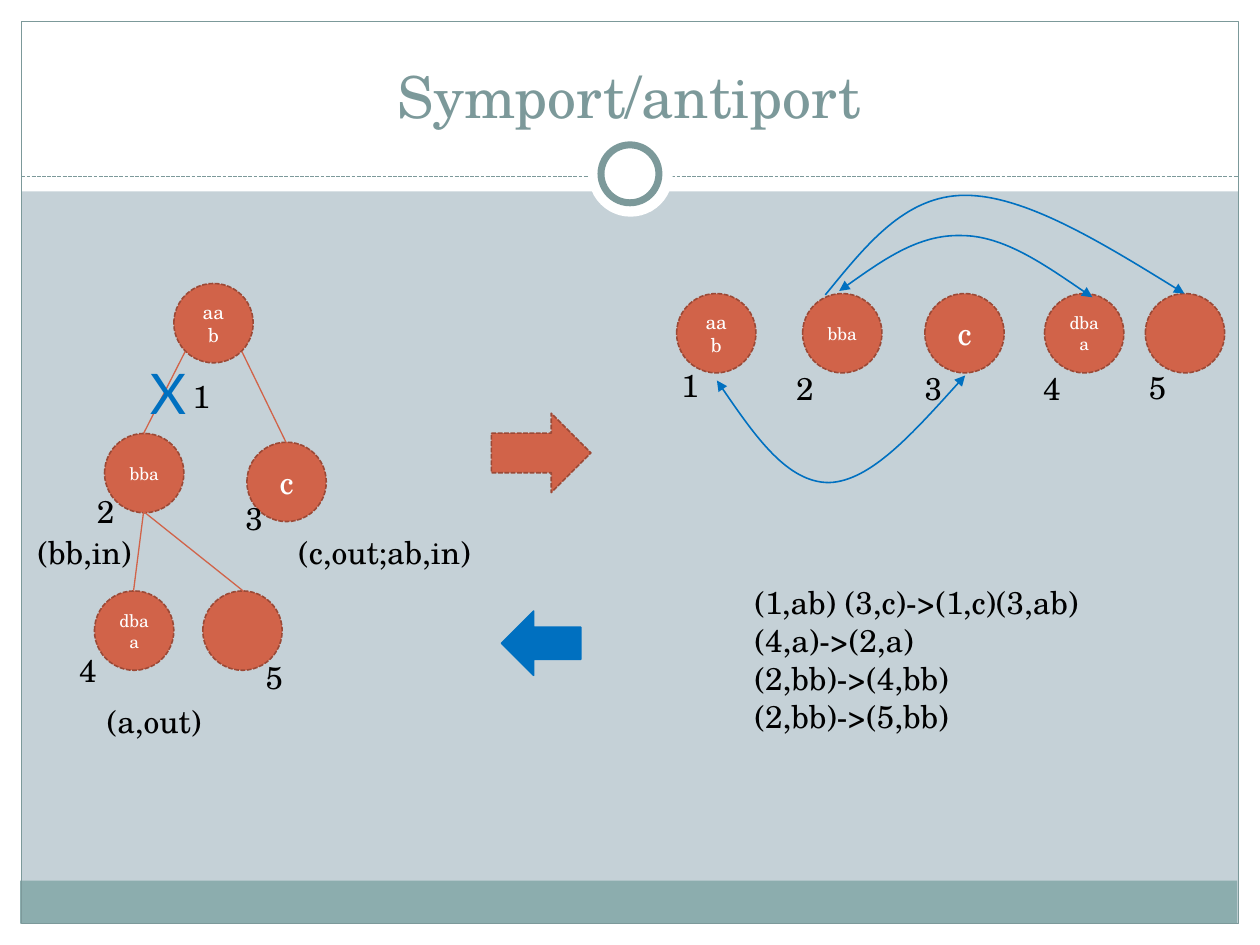
from lxml.etree import SubElement
from pptx import Presentation
from pptx.dml.color import RGBColor
from pptx.enum.dml import MSO_LINE
from pptx.enum.shapes import MSO_CONNECTOR, MSO_SHAPE
from pptx.enum.text import MSO_ANCHOR, MSO_AUTO_SIZE, PP_ALIGN
from pptx.oxml.ns import qn
from pptx.util import Inches, Pt

HUES = {
    "back": "C5D1D7", "white": "FFFFFF", "black": "000000", "teal": "7C999A",
    "band": "8CADAE", "red": "D16349", "rust": "9B4936", "blue": "0070C0",
}
SERIF = "TeX Gyre Schola"


def hue(name):
    return RGBColor.from_string(HUES[name])


def write(frame, text, size=18, color="black", font=SERIF, align=PP_ALIGN.LEFT,
          anchor=MSO_ANCHOR.TOP, wrap=True):
    frame.text = text
    frame.word_wrap = wrap
    frame.vertical_anchor = anchor
    for para in frame.paragraphs:
        para.alignment = align
        for run in para.runs:
            run.font.size = Pt(size)
            run.font.name = font
            run.font.color.rgb = hue(color)


class Board:
    """Holds the current slide and the style of its elements."""

    node = 0.63

    def __init__(self, slide):
        self.slide = slide
        self.shapes = slide.shapes
        fill = slide.background.fill
        fill.solid()
        fill.fore_color.rgb = hue("back")

    def stroke(self, line, color, width, dash=False):
        line.color.rgb = hue(color)
        line.width = Pt(width)
        if dash:
            line.dash_style = MSO_LINE.SQUARE_DOT

    def shape(self, kind, box, fill=None, line=None, width=0.9, dash=False):
        item = self.shapes.add_shape(kind, *map(Inches, box))
        item.shadow.inherit = False
        if fill:
            item.fill.solid()
            item.fill.fore_color.rgb = hue(fill)
        else:
            item.fill.background()
        if line:
            self.stroke(item.line, line, width, dash)
        else:
            item.line.fill.background()
        return item

    def cell(self, left, top, text="", size=10):
        box = (left, top, self.node, self.node)
        item = self.shape(MSO_SHAPE.OVAL, box, "red", "rust", dash=True)
        if text:
            write(item.text_frame, text, size=size, color="white",
                  align=PP_ALIGN.CENTER, anchor=MSO_ANCHOR.MIDDLE)

    def label(self, text, left, top, wide=0.34, high=0.4, **style):
        box = self.shapes.add_textbox(*map(Inches, (left, top, wide, high)))
        write(box.text_frame, text, wrap=False, **style)
        box.text_frame.auto_size = MSO_AUTO_SIZE.SHAPE_TO_FIT_TEXT

    def link(self, start, end, color="red", dash=False):
        item = self.shapes.add_connector(
            MSO_CONNECTOR.STRAIGHT, *map(Inches, (*start, *end)))
        self.stroke(item.line, color, 0.75, dash)
        SubElement(item.element.spPr, qn("a:effectLst"))

    def curve(self, points, ends):
        dots = [(Inches(x), Inches(y)) for x, y in points]
        pen = self.shapes.build_freeform(*dots[0])
        pen.add_line_segments(dots[1:], close=False)
        item = pen.convert_to_shape()
        item.shadow.inherit = False
        item.fill.background()
        self.stroke(item.line, "blue", 0.9)
        # Each three straight steps become one Bezier step
        steps = list(item.element.iter(qn("a:lnTo")))
        track = steps[0].getparent()
        for i in range(0, len(steps), 3):
            bend = SubElement(track, qn("a:cubicBezTo"))
            for step in steps[i:i + 3]:
                bend.append(step[0])
                track.remove(step)
        edge = item.element.spPr.find(qn("a:ln"))
        for end in ends:
            SubElement(edge, qn(f"a:{end}"), type="triangle")

    def title(self, text, box):
        item = self.shapes.title
        item.left, item.top, item.width, item.height = map(Inches, box)
        write(item.text_frame, text, size=33, color="teal",
              align=PP_ALIGN.CENTER, anchor=MSO_ANCHOR.BOTTOM)
        # Bring the title in front of the white margin
        item.element.getparent().append(item.element)


def main():
    deck = Presentation()
    deck.slide_width, deck.slide_height = Inches(10), Inches(7.5)
    board = Board(deck.slides.add_slide(deck.slide_layouts[5]))

    # Frame
    rect, oval = MSO_SHAPE.RECTANGLE, MSO_SHAPE.OVAL
    for box in ((0, 7.33, 10, 0.17), (0, 0, 10, 1.52),
                (0, 0, 0.17, 7.5), (9.83, 0, 0.17, 7.5)):
        board.shape(rect, box, "white")
    board.shape(rect, (0.16, 6.99, 9.66, 0.34), "band")
    board.shape(rect, (0.17, 0.17, 9.66, 7.16), line="teal", width=0.75)
    board.link((0.17, 1.4), (9.83, 1.4), "teal", dash=True)
    board.shape(oval, (4.67, 1.05, 0.67, 0.67), "white")
    board.shape(oval, (4.77, 1.15, 0.46, 0.46), "white", "teal", 4)
    board.title("Symport/antiport", (0.33, 0.25, 9.33, 0.83))

    # Cells: text, size, place in the tree, left in the row
    cells = (
        ("aab", 11, (1.38, 2.25), 5.37),
        ("bba", 10, (0.83, 3.44), 6.37),
        ("c", 18, (1.96, 3.51), 7.34),
        ("dbaa", 10, (0.75, 4.69), 8.29),
        ("", 10, (1.61, 4.69), 9.09),
    )
    for text, size, spot, left in cells:
        board.cell(*spot, text, size)
        board.cell(left, 2.33, text, size)

    # Tree branches
    for start, end in (((2.27, 3.51), (1.92, 2.79)),
                       ((1.47, 2.79), (1.14, 3.44)),
                       ((1.14, 4.06), (1.06, 4.69)),
                       ((1.14, 4.06), (1.93, 4.69))):
        board.link(start, end)

    # Cell numbers: in the tree, then in the row
    marks = (
        ((1.43, 2.94), (5.31, 2.86)),
        ((0.67, 3.86), (6.22, 2.88)),
        ((1.85, 3.91), (7.24, 2.88)),
        ((0.53, 5.12), (8.18, 2.88)),
        ((2.01, 5.17), (9.02, 2.87)),
    )
    for num, spots in enumerate(marks, 1):
        for spot in spots:
            board.label(str(num), *spot, wide=0.31 if num == 1 else 0.34)

    # Rules
    board.label("(c,out;ab,in)", 2.27, 4.18, 1.58)
    board.label("(a,out)", 0.75, 5.52, 0.96)
    board.label("(bb,in)", 0.2, 4.18, 0.97)
    board.label("(1,ab) (3,c)->(1,c)(3,ab)\n(4,a)->(2,a)\n"
                "(2,bb)->(4,bb)\n(2,bb)->(5,bb)", 5.89, 4.58, 2.81, 1.31)

    # Exchange curves
    both = ("headEnd", "tailEnd")
    board.curve(((5.69, 3.02), (5.97, 3.43), (6.25, 3.83), (6.58, 3.83),
                 (6.91, 3.82), (7.28, 3.4), (7.66, 2.98)), both)
    board.curve(((6.66, 2.31), (6.97, 2.09), (7.29, 1.86), (7.63, 1.87),
                 (7.96, 1.87), (8.32, 2.12), (8.67, 2.36)), both)
    board.curve(((6.55, 2.34), (6.87, 1.95), (7.18, 1.55), (7.66, 1.55),
                 (8.13, 1.55), (8.77, 1.94), (9.4, 2.33)), both[1:])

    # Block arrows and the cut mark
    arrow = MSO_SHAPE.RIGHT_ARROW
    board.shape(arrow, (3.9, 3.28, 0.79, 0.63), "red", "rust", dash=True)
    back = board.shape(arrow, (3.98, 4.85, 0.63, 0.51), "blue", "blue")
    back.rotation = 180
    board.label("X", 1.09, 2.8, 0.52, 0.64, size=32, color="blue", font="Lato")

    deck.save("out.pptx")


if __name__ == "__main__":
    main()
